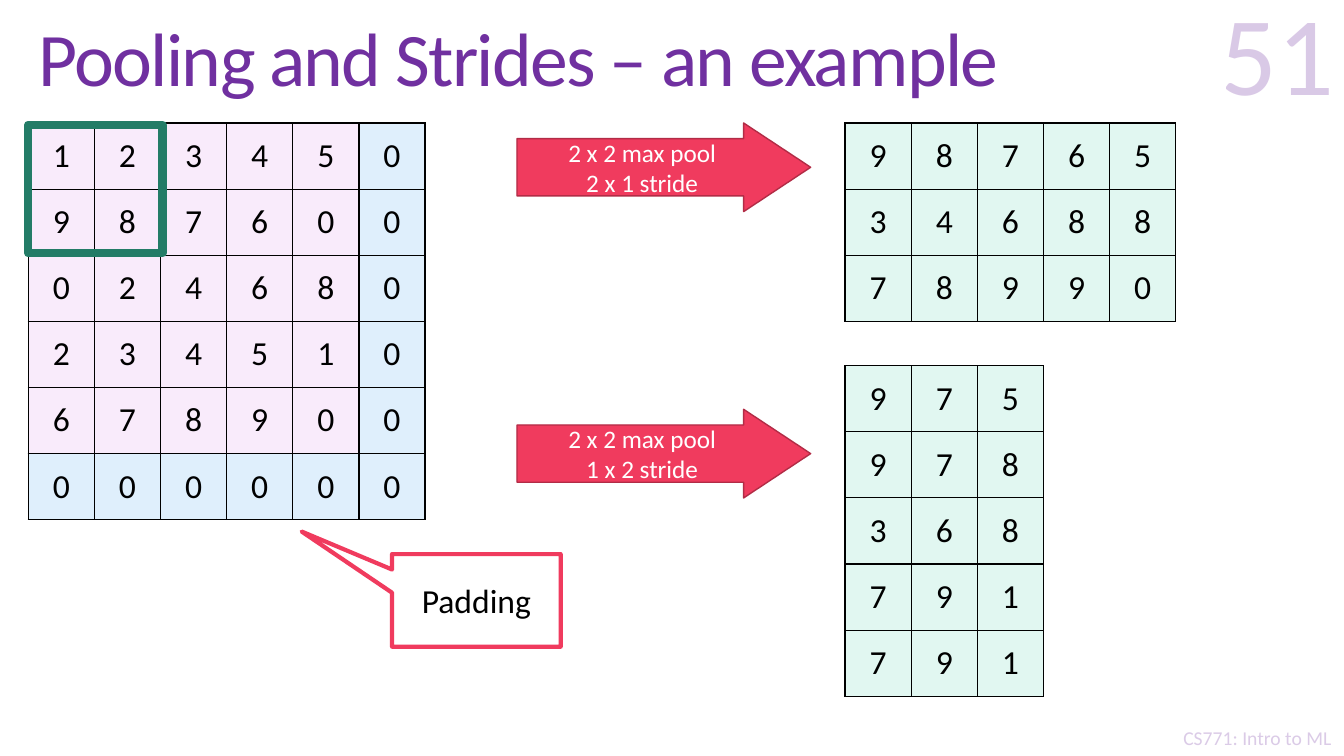
from lxml.etree import SubElement
from pptx import Presentation
from pptx.dml.color import RGBColor
from pptx.enum.shapes import MSO_SHAPE as Shape
from pptx.enum.text import MSO_ANCHOR as Anchor, MSO_AUTO_SIZE as AutoSize, PP_ALIGN as Align
from pptx.oxml.ns import qn
from pptx.util import Inches, Pt

LEFT, TOP, CELL = 0.28, 1.22, 3.28 / 5
PURPLE, WHITE, BLACK = "7030A0", "FFFFFF", "000000"
PINK, DARK_PINK, GREEN = "F03B5E", "B22C46", "237C67"
INPUT_FILL, PADDING_FILL, OUTPUT_FILL = "F9EBFB", "DFEFFC", "E1F7F1"
RESULT_COLUMN, ARROW_COLUMN = 12.35, 7.39
INPUT_ROWS = ["12345", "98760", "02468", "23451", "67890"]
ROW_STRIDE_RESULT = ["98765", "34688", "78990"]
COLUMN_STRIDE_RESULT = ["975", "978", "368", "791", "791"]


def color(value):
    """Turn a hex string into a colour."""
    return RGBColor.from_string(value)


def area(column, row, columns, rows):
    """Convert a grid area to left, top, width and height."""
    return (Inches(LEFT + column * CELL), Inches(TOP + row * CELL),
            Inches(columns * CELL), Inches(rows * CELL))


def write(frame, text, size, ink, align=Align.CENTER, anchor=Anchor.MIDDLE):
    """Fill a text frame and format every run in it."""
    frame.text = text
    frame.word_wrap = True
    frame.vertical_anchor = anchor
    for para in frame.paragraphs:
        para.alignment = align
        for span in para.runs:
            span.font.name = "Calibri"
            span.font.size = Pt(size)
            span.font.color.rgb = color(ink)


def set_opacity(box, percent):
    """Make the colours of a box partly transparent."""
    for tint in box.element.iter(qn("a:srgbClr")):
        SubElement(tint, qn("a:alpha"), val=str(percent * 1000))


def add_title(page, text):
    """Place and format the title placeholder."""
    title = page.shapes.title
    title.left, title.top, title.width, title.height = area(0, -1.8, 19.34, 1.8)
    write(title.text_frame, text, 54, PURPLE, Align.LEFT)
    title.text_frame.auto_size = AutoSize.NONE
    para = title.text_frame.paragraphs[0]
    para.line_spacing = 0.85
    for properties in para.runs[0].font, :
        properties.bold = False
    for element in title.element.iter(qn("a:rPr")):
        element.set("spc", "-120")


def add_label(page, place, text, size, align, anchor):
    """Add a purple text box and return it."""
    box = page.shapes.add_textbox(*area(*place))
    write(box.text_frame, text, size, PURPLE, align, anchor)
    return box


def add_figure(page, kind, place, fill=None, line=None, weight=1, adjust=()):
    """Add a preset shape with its fill, outline and adjustments."""
    figure = page.shapes.add_shape(kind, *area(*place))
    figure.shadow.inherit = False
    for index, value in enumerate(adjust):
        figure.adjustments[index] = value
    if fill:
        figure.fill.solid()
        figure.fill.fore_color.rgb = color(fill)
    else:
        figure.fill.background()
    if line:
        figure.line.color.rgb = color(line)
        figure.line.width = Pt(weight)
    else:
        figure.line.fill.background()
    return figure


def add_arrow(page, row, text):
    """Add a pooling arrow at a grid row."""
    arrow = add_figure(page, Shape.RIGHT_ARROW, (ARROW_COLUMN, row, 4.44, 1.34),
                       PINK, DARK_PINK, 1, (0.646, 0.756))
    write(arrow.text_frame, text, 18, WHITE)


def add_borders(cell):
    """Draw a thin black border on all sides of a cell."""
    properties = cell._tc.get_or_add_tcPr()
    for side in "LRTB":
        border = SubElement(properties, qn(f"a:ln{side}"), w=str(Pt(1)))
        fill = SubElement(border, qn("a:solidFill"))
        SubElement(fill, qn("a:srgbClr"), val=BLACK)


def add_matrix(page, column, row, digits, fill):
    """Add a table with one digit in each square cell."""
    place = area(column, row, len(digits[0]), len(digits))
    table = page.shapes.add_table(len(digits), len(digits[0]), *place).table
    table.first_row = table.horz_banding = False
    for table_column in table.columns:
        table_column.width = Inches(CELL)
    for table_row, line in zip(table.rows, digits):
        table_row.height = Inches(CELL)
        for cell, digit in zip(table_row.cells, line):
            add_borders(cell)
            cell.fill.solid()
            cell.fill.fore_color.rgb = color(fill)
            cell.vertical_anchor = Anchor.MIDDLE
            write(cell.text_frame, digit, 24, BLACK)


def main():
    """Build the pooling slide and save it."""
    deck = Presentation()
    deck.slide_width, deck.slide_height = Inches(13.33), Inches(7.5)
    page = deck.slides.add_slide(deck.slide_layouts[5])

    add_label(page, (17.13, 9.05, 2.91, 0.52), "CS771: Intro to ML", 14, Align.CENTER, Anchor.TOP)
    veil = add_figure(page, Shape.RECTANGLE, (17.32, 6.8, 2.58, 2.77), WHITE)
    set_opacity(veil, 75)
    add_title(page, "Pooling and Strides – an example")
    number = add_label(page, (15.02, -1.78, 4.88, 1.78), "51", 80, Align.RIGHT, Anchor.BOTTOM)
    set_opacity(number, 25)

    add_matrix(page, 0, 5, ["00000"], PADDING_FILL)
    add_matrix(page, 5, 0, ["0"] * 6, PADDING_FILL)
    add_matrix(page, 0, 0, INPUT_ROWS, INPUT_FILL)
    add_matrix(page, RESULT_COLUMN, 0, ROW_STRIDE_RESULT, OUTPUT_FILL)
    add_matrix(page, RESULT_COLUMN, 3.67, COLUMN_STRIDE_RESULT, OUTPUT_FILL)

    add_arrow(page, 0, "2 x 2 max pool\n2 x 1 stride")
    add_arrow(page, 4.33, "2 x 2 max pool\n1 x 2 stride")
    add_figure(page, Shape.RECTANGLE, (0, 0.03, 2.03, 1.94), line=GREEN, weight=6)
    callout = add_figure(page, Shape.RECTANGULAR_CALLOUT, (5.5, 6.52, 2.55, 1.4),
                         WHITE, PINK, 3, (-1.036, -0.744))
    write(callout.text_frame, "Padding", 24, BLACK)
    deck.save("out.pptx")


if __name__ == "__main__":
    main()
